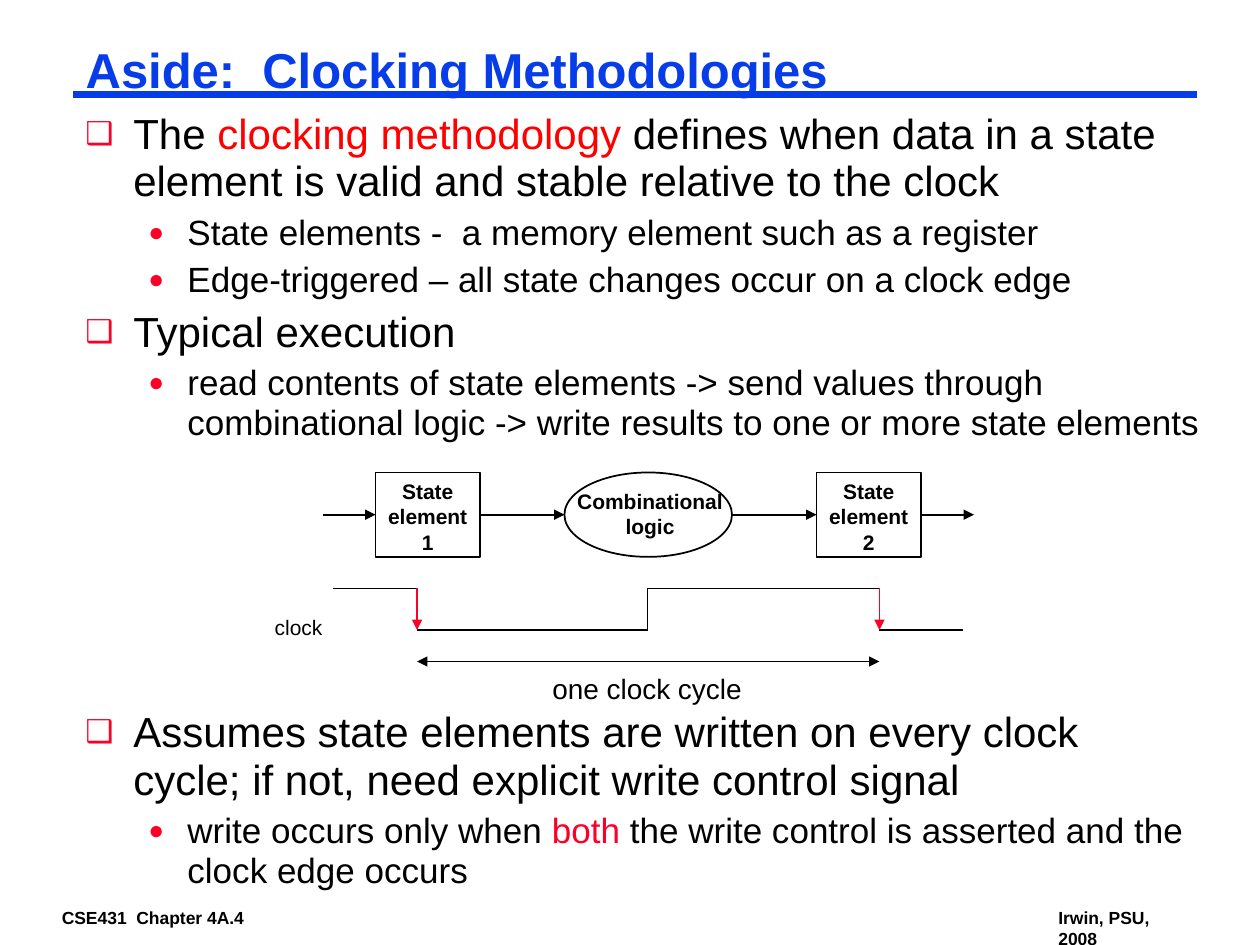
from lxml import etree
from pptx import Presentation
from pptx import util as u
from pptx.dml.color import RGBColor
from pptx.enum import shapes, text
from pptx.oxml.ns import qn

COLORS = {"ink": "000000", "blue": "063DE8", "red": "FC0128", "term": "FF0000"}
MIDDLE, TOP = text.MSO_ANCHOR.MIDDLE, text.MSO_ANCHOR.TOP
LEFT, CENTER = text.PP_ALIGN.LEFT, text.PP_ALIGN.CENTER

deck = Presentation()
deck.slide_width, deck.slide_height = u.Inches(10), u.Inches(7.5)
slide = deck.slides.add_slide(deck.slide_layouts[5])


def write(box, area, paragraphs, size, bold=False, align=LEFT, anchor=TOP,
          inset=(0.1, 0.05), wrap=True):
    """Place a text holder; each paragraph is a list of (words, color) runs."""
    box.left, box.top, box.width, box.height = [u.Inches(v) for v in area]
    frame = box.text_frame
    frame.auto_size, frame.word_wrap = text.MSO_AUTO_SIZE.NONE, wrap
    frame.vertical_anchor = anchor
    frame.margin_left = frame.margin_right = u.Inches(inset[0])
    frame.margin_top = frame.margin_bottom = u.Inches(inset[1])
    for i, runs in enumerate(paragraphs):
        para = frame.add_paragraph() if i else frame.paragraphs[0]
        para.alignment = align
        for words, color in runs:
            run = para.add_run()
            run.text = words
            run.font.name, run.font.size, run.font.bold = "Arial", u.Pt(size), bold
            run.font.color.rgb = RGBColor.from_string(COLORS[color])
    return frame


def rule(start, end, color="ink", width=1, ends=()):
    """Draw a straight line; ends lists which of headEnd and tailEnd get arrows."""
    points = [u.Inches(v) for v in (*start, *end)]
    line = slide.shapes.add_connector(shapes.MSO_CONNECTOR.STRAIGHT, *points)
    line.line.color.rgb = RGBColor.from_string(COLORS[color])
    line.line.width = u.Pt(width)
    for end_tag in ends:
        etree.SubElement(line.line._get_or_add_ln(), qn("a:" + end_tag), type="triangle")
    etree.SubElement(line._element.spPr, qn("a:effectLst"))


# Title, its rule and the footers
margin = 0.58
rule((margin, 0.75), (9.5, 0.75), "blue", 4.5)
heading = write(slide.shapes.title, (margin, 0.33, 8.92, 0.51),
                [[("Aside:  Clocking Methodologies", "blue")]], 28, True, anchor=MIDDLE)
heading.paragraphs[0].line_spacing = 0.87
for left, width, footer in ((0.42, 1.69, "CSE431  Chapter 4A.4"),
                            (8.33, 1.2, "Irwin, PSU, 2008")):
    write(slide.shapes.add_textbox(0, 0, 0, 0), (left, 7.17, width, 0.39),
          [[(footer, "ink")]], 10, True, inset=(0.07, 0.03))

# Bulleted text above and below the diagram: (level, runs)
above = [
    (0, [("The ", "ink"), ("clocking methodology ", "term"),
         ("defines when data in a state element is valid and stable relative to the clock", "ink")]),
    (1, [("State elements -  a memory element such as a register", "ink")]),
    (1, [("Edge-triggered – all state changes occur on a clock edge", "ink")]),
    (0, [("Typical execution", "ink")]),
    (1, [("read contents of state elements -> send values through combinational logic"
          " -> write results to one or more state elements", "ink")]),
]
below = [
    (0, [("Assumes state elements are written on every clock cycle; if not, "
          "need explicit write control signal", "ink")]),
    (1, [("write occurs only when ", "ink"), ("both", "red"),
         (" the write control is asserted and the clock edge occurs", "ink")]),
]
levels = [("❑", 24, 0.38, 0.38), ("●", 20, 0.81, 0.31)]  # mark, size, indent, hang
for area, points in (((margin, 0.83, 9.17, 2.75), above), ((margin, 5.58, 9, 1.67), below)):
    frame = write(slide.shapes.add_textbox(0, 0, 0, 0), area, [runs for _, runs in points], 24)
    for i, (para, (level, _)) in enumerate(zip(frame.paragraphs, points)):
        mark, size, indent, hang = levels[level]
        props = para._p.get_or_add_pPr()
        props.set("marL", str(u.Inches(indent)))
        props.set("indent", str(-u.Inches(hang)))
        tint = etree.SubElement(props, qn("a:buClr"))
        etree.SubElement(tint, qn("a:srgbClr"), val=COLORS["red"])
        etree.SubElement(props, qn("a:buSzPct"), val="75000")
        etree.SubElement(props, qn("a:buFont"), typeface="Arial")
        etree.SubElement(props, qn("a:buChar"), char=mark)
        para.level, para.line_spacing = level, 0.95
        para.space_before = u.Pt(0.2 * size if i else 0)
        for run in para.runs:
            run.font.size = u.Pt(size)

# Datapath: state element, logic, state element on one row
row, tall = 3.75, 0.67
box_kind, oval_kind = shapes.MSO_SHAPE.RECTANGLE, shapes.MSO_SHAPE.OVAL
stages = [(box_kind, 2.98, 0.83, 0, ["State", "element", "1"]),
          (oval_kind, 4.48, 1.33, 0.08, ["Combinational", "logic"]),
          (box_kind, 6.48, 0.83, 0, ["State", "element", "2"])]
for kind, left, width, drop, words in stages:
    outline = slide.shapes.add_shape(kind, *[u.Inches(v) for v in (left, row, width, tall)])
    outline.shadow.inherit = False
    outline.fill.background()
    outline.line.color.rgb = RGBColor.from_string(COLORS["ink"])
    outline.line.width = u.Pt(1)
    write(slide.shapes.add_textbox(0, 0, 0, 0), (left, row + drop, width + 0.03 * (drop > 0), 0.7),
          [[(word, "ink")] for word in words], 12, True, CENTER, wrap=False)

# Data flow arrows between the stages
flow = row + tall / 2
for start, end in ((2.56, 2.98), (3.81, 4.48), (5.81, 6.48), (7.31, 7.73)):
    rule((start, flow), (end, flow), ends=["tailEnd"])

# Clock wave with its falling edges in red
high, low = 4.67, 5
fall_1, rise, fall_2 = 3.31, 5.14, 6.98
for start, end, level in ((2.64, fall_1, high), (fall_1, rise, low),
                          (rise, fall_2, high), (fall_2, 7.64, low)):
    rule((start, level), (end, level))
rule((rise, high), (rise, low))
for fall in (fall_1, fall_2):
    rule((fall, high), (fall, low), "red", ends=["tailEnd"])

# Cycle span and wave labels
rule((fall_1, 5.25), (fall_2, 5.25), ends=["headEnd", "tailEnd"])
for area, label, size in (((2.08, 4.83, 0.58, 0.3), "clock", 12),
                          ((4.28, 5.28, 1.71, 0.37), "one clock cycle", 16)):
    write(slide.shapes.add_textbox(0, 0, 0, 0), area, [[(label, "ink")]], size,
          align=CENTER, wrap=False)

deck.save("out.pptx")
